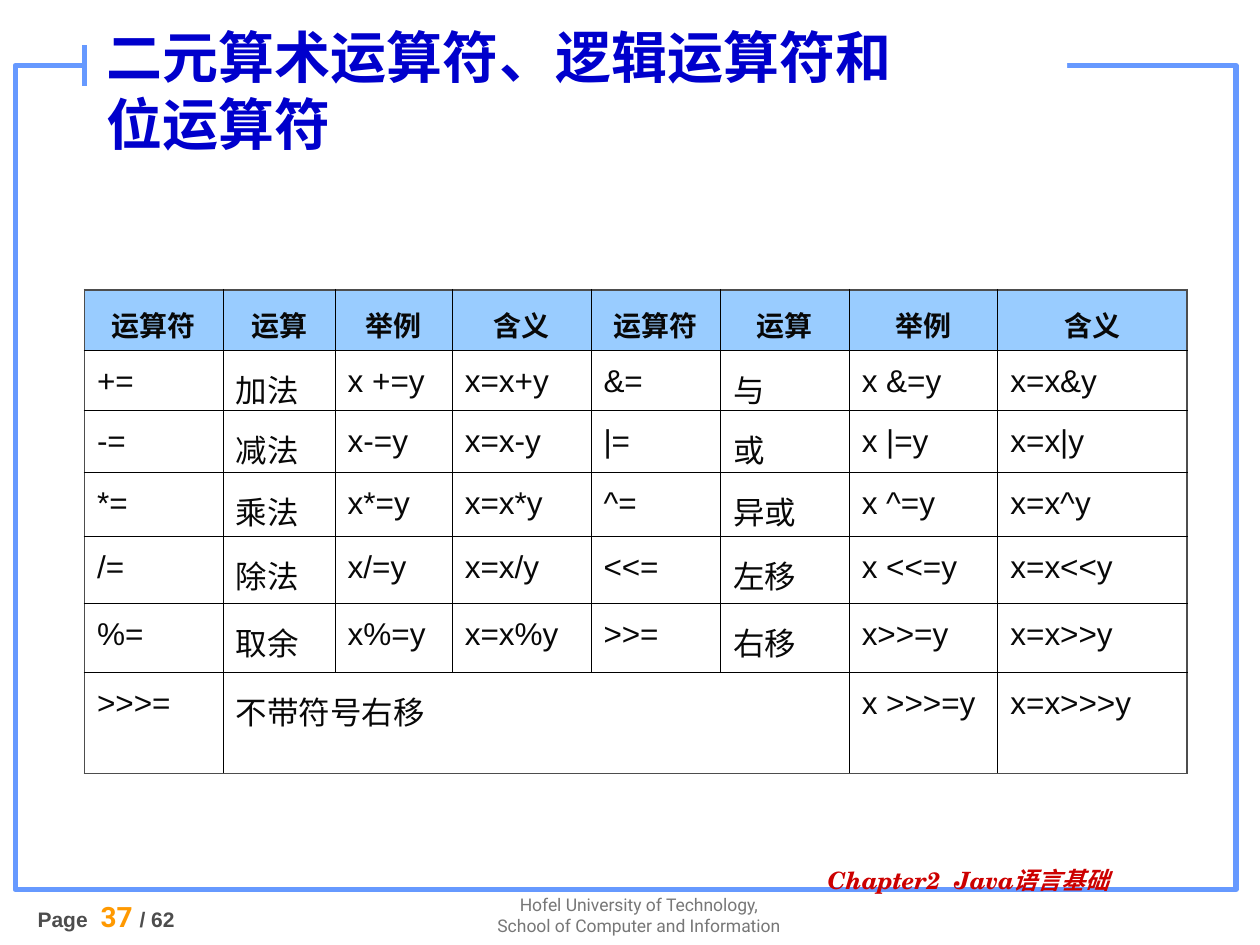
from lxml import etree
from pptx import Presentation
from pptx import util as u
from pptx.dml.color import RGBColor
from pptx.enum import shapes, text
from pptx.oxml import ns

FRAME_BLUE = RGBColor(0x66, 0x99, 0xFF)
TITLE_BLUE = RGBColor(0x00, 0x00, 0xCC)
HEADER_BLUE = RGBColor(0x99, 0xCC, 0xFF)
WHITE = RGBColor(0xFF, 0xFF, 0xFF)
BLACK = RGBColor(0x00, 0x00, 0x00)
INK = RGBColor(0x08, 0x08, 0x08)
DARK_GRAY = RGBColor(0x4D, 0x4D, 0x4D)
GRAY = RGBColor(0x77, 0x77, 0x77)
ORANGE = RGBColor(0xFF, 0x99, 0x00)
RED = RGBColor(0xCC, 0x00, 0x00)

HEADERS = ["运算符", "运算", "举例", "含义"] * 2
OPERATORS = [
    ["+=", "加法", "x +=y", "x=x+y", "&=", "与", "x &=y", "x=x&y"],
    ["-=", "减法", "x-=y", "x=x-y", "|=", "或", "x |=y", "x=x|y"],
    ["*=", "乘法", "x*=y", "x=x*y", "^=", "异或", "x ^=y", "x=x^y"],
    ["/=", "除法", "x/=y", "x=x/y", "<<=", "左移", "x <<=y", "x=x<<y"],
    ["%=", "取余", "x%=y", "x=x%y", ">>=", "右移", "x>>=y", "x=x>>y"],
    [">>>=", "不带符号右移", "", "", "", "", "x >>>=y", "x=x>>>y"],
]
COLUMN_WIDTHS = [1.1, 0.89, 0.93, 1.1, 1.03, 1.02, 1.18, 1.5]
ROW_HEIGHTS = [0.48, 0.48, 0.49, 0.51, 0.53, 0.55, 0.8]


class SlideBuilder:
    """Holds the shared style and the slide being filled."""

    font_name = "Arial"
    frame_width = u.Pt(3)
    inner_border = (BLACK, u.Pt(0.45))
    outer_border = (DARK_GRAY, u.Pt(1.08))

    def __init__(self, slide):
        self.slide = slide

    def style(self, font, size, color, bold=False, italic=False, name=None):
        font.name = name or self.font_name
        font.size = u.Pt(size)
        font.color.rgb = color
        font.bold = bold
        font.italic = italic

    def rectangle(self, left, top, width, height, fill=None, line=None):
        shape = self.slide.shapes.add_shape(
            shapes.MSO_SHAPE.RECTANGLE, *map(u.Inches, (left, top, width, height)))
        shape.shadow.inherit = False
        if fill is None:
            shape.fill.background()
        else:
            shape.fill.solid()
            shape.fill.fore_color.rgb = fill
        if line is None:
            shape.line.fill.background()
        else:
            shape.line.color.rgb = line
            shape.line.width = self.frame_width

    def line(self, x1, y1, x2, y2, color):
        connector = self.slide.shapes.add_connector(
            shapes.MSO_CONNECTOR.STRAIGHT, *map(u.Inches, (x1, y1, x2, y2)))
        connector.line.color.rgb = color
        connector.line.width = self.frame_width
        etree.SubElement(connector._element.spPr, ns.qn("a:effectLst"))

    def text_box(self, left, top, width, height, lines=("",),
                 anchor=text.MSO_ANCHOR.TOP, align=text.PP_ALIGN.LEFT, **font):
        """Add a wrapped text box and return its paragraphs."""
        box = self.slide.shapes.add_textbox(
            *map(u.Inches, (left, top, width, height)))
        frame = box.text_frame
        frame.word_wrap = True
        frame.vertical_anchor = anchor
        frame.text = "\n".join(lines)
        for paragraph in frame.paragraphs:
            paragraph.alignment = align
            if font:
                self.style(paragraph.font, **font)
        return frame.paragraphs

    def borders(self, cell, edges):
        """Draw the left, right, top and bottom cell borders."""
        properties = cell._tc.get_or_add_tcPr()
        for index, (side, (color, width)) in enumerate(zip("LRTB", edges)):
            border = etree.Element(ns.qn(f"a:ln{side}"), w=str(int(width)))
            fill = etree.SubElement(border, ns.qn("a:solidFill"))
            etree.SubElement(fill, ns.qn("a:srgbClr"), val=str(color))
            properties.insert(index, border)

    def cell(self, cell, content, is_header):
        if is_header:
            cell.fill.solid()
            cell.fill.fore_color.rgb = HEADER_BLUE
        else:
            cell.fill.background()
        cell.margin_left = cell.margin_right = u.Inches(0.1)
        cell.margin_top = cell.margin_bottom = u.Inches(0.05)
        cell.text = content
        paragraph = cell.text_frame.paragraphs[0]
        paragraph.line_spacing = 1.2
        paragraph.space_before = u.Pt(4 if is_header else 4.5)
        paragraph.alignment = (
            text.PP_ALIGN.CENTER if is_header else text.PP_ALIGN.LEFT)
        self.style(paragraph.font, 16 if is_header else 18, INK, bold=is_header)

    def table(self, left, top, widths, heights, rows):
        table = self.slide.shapes.add_table(
            len(rows), len(widths), *map(
                u.Inches, (left, top, sum(widths), sum(heights)))).table
        table.first_row = table.horz_banding = False
        for column, width in zip(table.columns, widths):
            column.width = u.Inches(width)
        for row, height in zip(table.rows, heights):
            row.height = u.Inches(height)
        last_row, last_column = len(rows) - 1, len(widths) - 1
        for r, contents in enumerate(rows):
            for c, content in enumerate(contents):
                cell = table.cell(r, c)
                self.cell(cell, content, is_header=r == 0)
                on_edge = (c == 0, c == last_column, r == 0, r == last_row)
                self.borders(cell, [
                    self.outer_border if edge else self.inner_border
                    for edge in on_edge])
        return table


def main():
    deck = Presentation()
    deck.slide_width, deck.slide_height = u.Inches(10), u.Inches(7.5)
    builder = SlideBuilder(deck.slides.add_slide(deck.slide_layouts[6]))

    # Frame, open behind the title
    builder.rectangle(0.12, 0.52, 9.69, 6.54, line=FRAME_BLUE)
    builder.rectangle(0.67, 0.28, 7.8, 0.35, fill=WHITE)

    # Footer: school and page number
    builder.text_box(
        3.8, 7.05, 2.54, 0.6,
        ["Hofel University of Technology,", "School of Computer and Information"],
        align=text.PP_ALIGN.CENTER, size=10, color=GRAY, name="Roboto")
    page = builder.text_box(0.2, 7.09, 1.81, 0.67)[0]
    page.space_before = u.Pt(7.5)
    for content, size, color, bold, name in [
            ("Page ", 12, DARK_GRAY, True, "Arial"),
            (" ", 16, ORANGE, False, "Roboto"),
            ("37 ", 16, ORANGE, True, "Roboto"),
            ("/ 62", 12, DARK_GRAY, True, "Arial")]:
        run = page.add_run()
        run.text = content
        builder.style(run.font, size, color, bold, name=name)

    # Tick beside the title
    builder.line(0.67, 0.36, 0.67, 0.68, FRAME_BLUE)

    # Chapter label
    chapter = builder.text_box(
        6.47, 6.85, 3.07, 0.35, ["Chapter2  Java语言基础"], size=13.6,
        color=RED, bold=True, italic=True, name="TeX Gyre Schola")[0]
    chapter.line_spacing = 0.9

    # Title
    builder.text_box(
        0.75, 0.11, 6.77, 1.2, ["二元算术运算符、逻辑运算符和位运算符"],
        anchor=text.MSO_ANCHOR.MIDDLE, size=32, color=TITLE_BLUE, bold=True)

    # Operator table; the last row's description spans five columns
    operators = builder.table(
        0.67, 2.3, COLUMN_WIDTHS, ROW_HEIGHTS, [HEADERS] + OPERATORS)
    last = len(OPERATORS)
    operators.cell(last, 1).merge(operators.cell(last, 5))

    deck.save("out.pptx")


if __name__ == "__main__":
    main()
